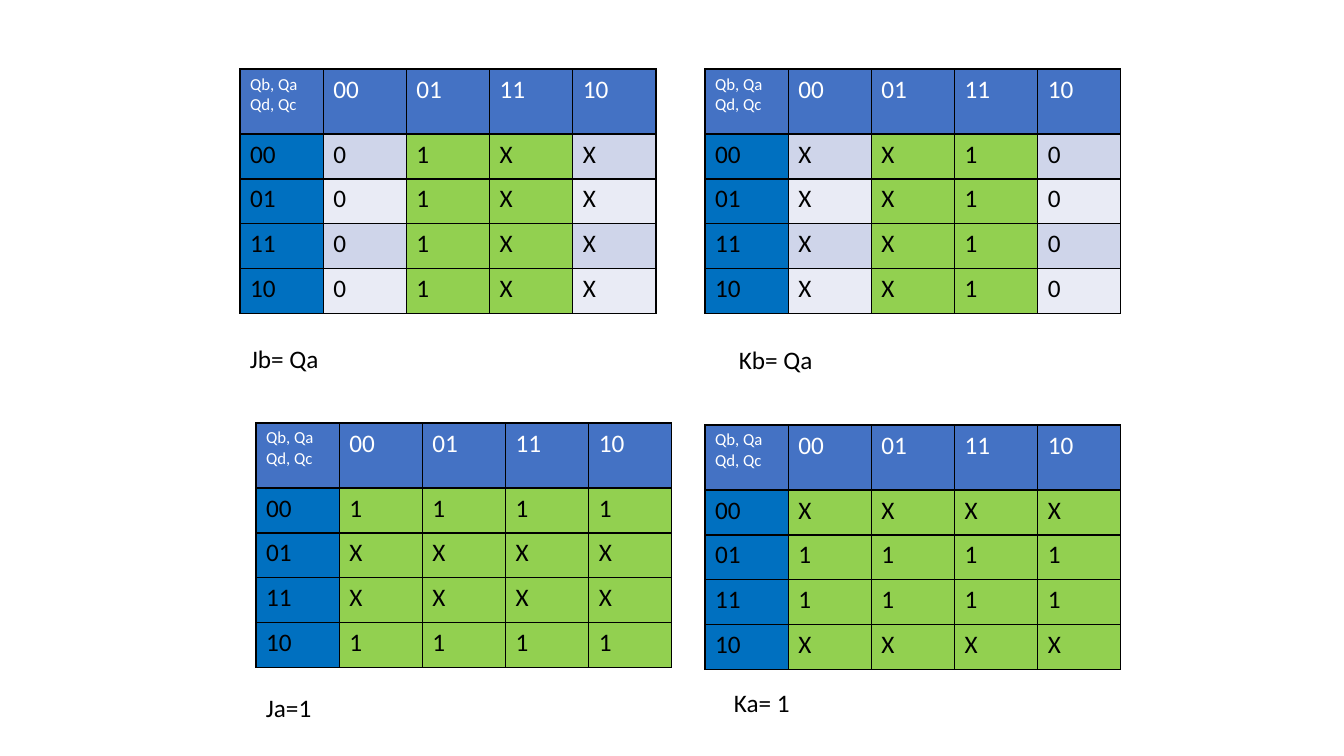
from lxml import etree
from pptx import Presentation
from pptx import util as u
from pptx.dml.color import RGBColor
from pptx.enum import text
from pptx.oxml import ns

SCALE = 914400 / 100.8


def px(n):
    return u.Emu(round(n * SCALE))


def rgb(value):
    return RGBColor.from_string(value)


class Deck:
    font = "Calibri"
    black, white = "000000", "FFFFFF"
    header, side, group = "4472C4", "0070C0", "92D050"
    bands = ("CFD5EA", "E9EBF5")
    gray_code = ("00", "01", "11", "10")

    def __init__(self, width, height):
        self.prs = Presentation()
        self.prs.slide_width, self.prs.slide_height = px(width), px(height)
        self.s = self.prs.slides.add_slide(self.prs.slide_layouts[6])

    def run(self, p, words, size, color):
        r = p.add_run()
        r.text = words
        r.font.name, r.font.size = self.font, u.Pt(size)
        r.font.color.rgb = rgb(color)

    def label(self, x, y, words):
        tf = self.s.shapes.add_textbox(px(x), px(y), px(250), px(40)).text_frame
        tf.word_wrap = True
        tf.auto_size = text.MSO_AUTO_SIZE.SHAPE_TO_FIT_TEXT
        self.run(tf.paragraphs[0], words, 18, self.black)

    def borders(self, cell):
        tc_pr = cell._tc.get_or_add_tcPr()
        for side in ("lnL", "lnR", "lnT", "lnB"):
            ln = etree.SubElement(tc_pr, ns.qn("a:" + side), w=str(u.Pt(1)))
            fill = etree.SubElement(ln, ns.qn("a:solidFill"))
            etree.SubElement(fill, ns.qn("a:srgbClr"), val=self.black)

    def cell(self, cell, lines, fill, color, size=18):
        self.borders(cell)
        cell.fill.solid()
        cell.fill.fore_color.rgb = rgb(fill)
        tf = cell.text_frame
        for i, line in enumerate(lines):
            p = tf.add_paragraph() if i else tf.paragraphs[0]
            self.run(p, line, size, color)

    def karnaugh_map(self, x, y, values, grouped):
        """values: one string per row; grouped: value columns in the green group."""
        table = self.s.shapes.add_table(5, 5, px(x), px(y), px(416), px(245)).table
        for i, row in enumerate(table.rows):
            row.height = px(45 if i else 65)

        # Header row and side column
        self.cell(table.cell(0, 0), ("Qb, Qa", "Qd, Qc"), self.header, self.white, 12)
        for i, code in enumerate(self.gray_code, 1):
            self.cell(table.cell(0, i), [code], self.header, self.white)
            self.cell(table.cell(i, 0), [code], self.side, self.black)

        # Values
        for i, row in enumerate(values):
            for j, value in enumerate(row):
                fill = self.group if j in grouped else self.bands[i % 2]
                self.cell(table.cell(i + 1, j + 1), [value], fill, self.black)


def main():
    deck = Deck(1344, 756)
    middle, every = (1, 2), range(4)

    # Maps for Jb, Kb, Ja and Ka
    deck.karnaugh_map(240, 69, ["01XX"] * 4, middle)
    deck.karnaugh_map(705, 69, ["XX10"] * 4, middle)
    deck.karnaugh_map(256, 423, ["1111", "XXXX", "XXXX", "1111"], every)
    deck.karnaugh_map(705, 425, ["XXXX", "1111", "1111", "XXXX"], every)

    # Resulting equations
    deck.label(240, 338, "Jb= Qa")
    deck.label(729, 339, "Kb= Qa")
    deck.label(256, 687, "Ja=1")
    deck.label(724, 682, "Ka= 1")

    deck.prs.save("out.pptx")


if __name__ == "__main__":
    main()
